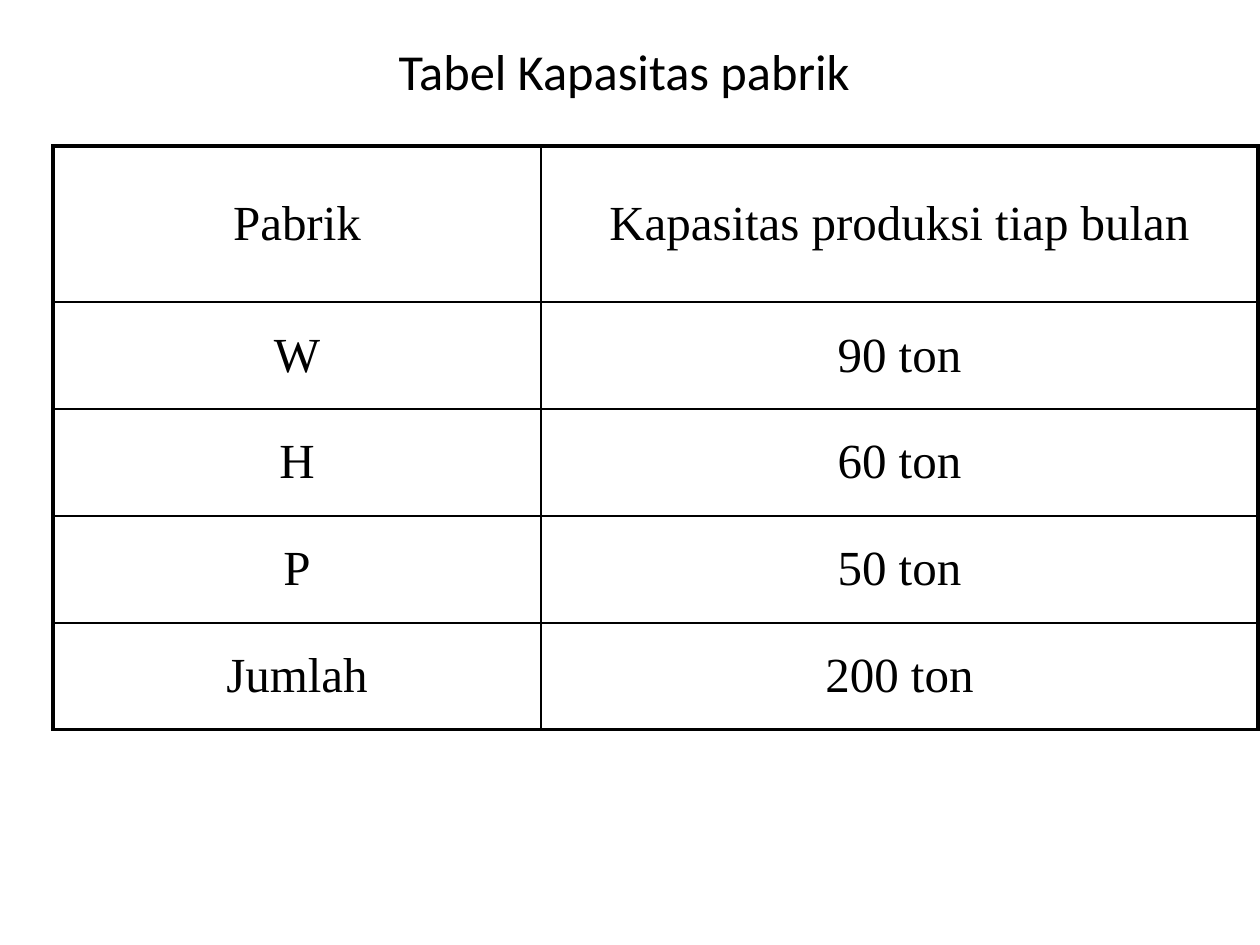
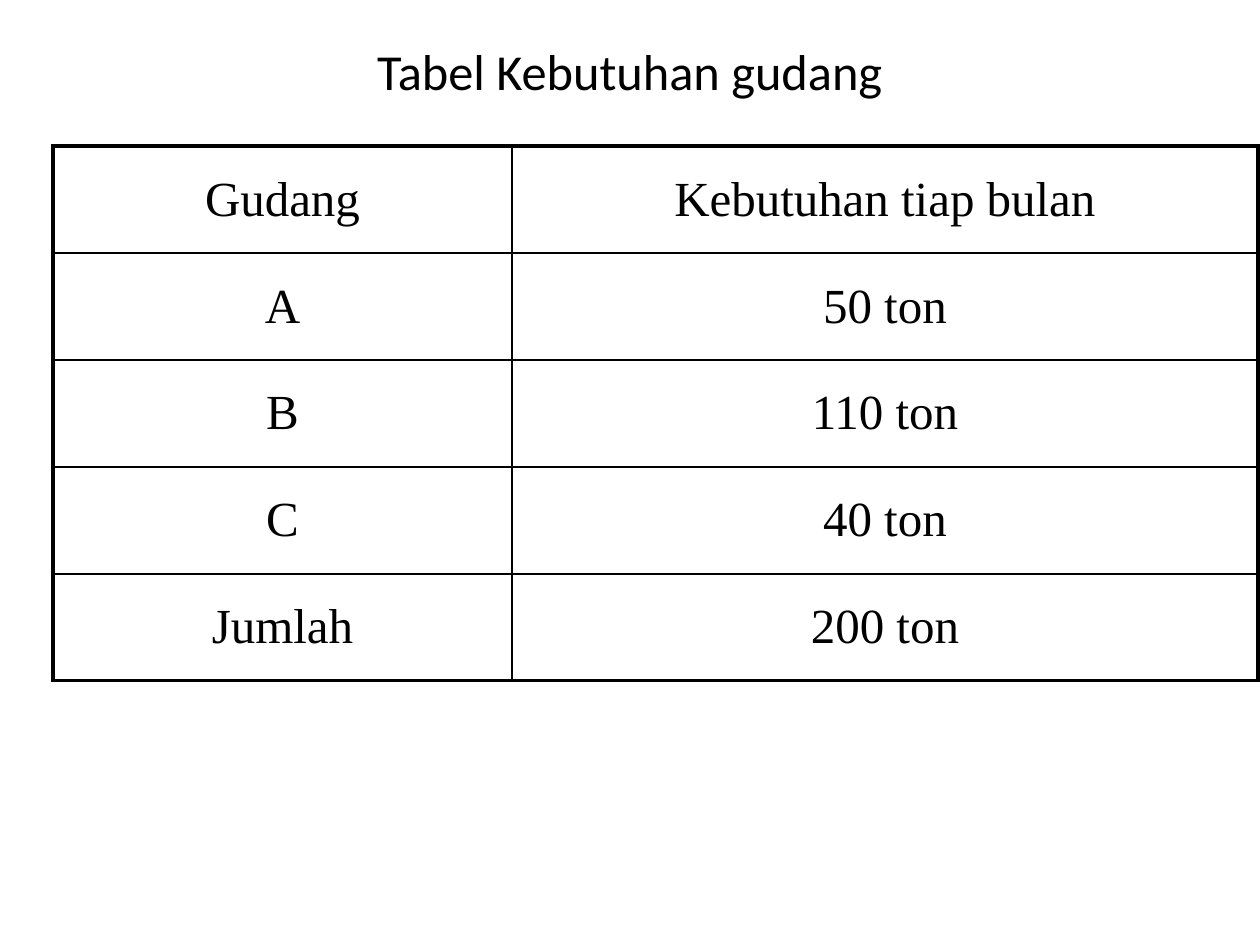
from lxml import etree
from pptx import Presentation
from pptx.dml.color import RGBColor
from pptx.enum.text import MSO_ANCHOR, PP_ALIGN
from pptx.oxml.ns import qn
from pptx.util import Emu, Pt

PX_PER_INCH = 126
COLORS = {"ink": "000000", "paper": "FFFFFF"}
SLIDE_SIZE = (1260, 945)
TITLE_BOX = (0, 48, 1260, 45)
TABLE_LEFT, TABLE_TOP, TABLE_WIDTH = 53, 146, 1205
ROW_HEIGHT = 107
OUTER_LINE, INNER_LINE = 2.25, 1


def px(length):
    return Emu(round(length * 914400 / PX_PER_INCH))


def rgb(name):
    return RGBColor.from_string(COLORS[name])


def style(paragraph, font_name, size):
    paragraph.alignment = PP_ALIGN.CENTER
    paragraph.font.name = font_name
    paragraph.font.size = Pt(size)
    paragraph.font.bold = False
    paragraph.font.color.rgb = rgb("ink")


def add_title(slide, box, wording):
    frame = slide.shapes.add_textbox(*map(px, box)).text_frame
    frame.word_wrap = True
    frame.vertical_anchor = MSO_ANCHOR.MIDDLE
    frame.text = wording
    style(frame.paragraphs[0], "Calibri", 28.8)


def add_border(cell, side, points):
    line = etree.SubElement(cell._tc.get_or_add_tcPr(), qn(f"a:ln{side}"), w=str(Pt(points)))
    fill = etree.SubElement(line, qn("a:solidFill"))
    etree.SubElement(fill, qn("a:srgbClr"), val=COLORS["ink"])


def add_quantity_table(slide, box, first_column, header_height, rows):
    left, top, width = box
    heights = [header_height] + [ROW_HEIGHT] * (len(rows) - 1)
    widths = [first_column, width - first_column]
    frame = slide.shapes.add_table(
        len(rows), len(widths), px(left), px(top), px(width), px(sum(heights))
    )
    table = frame.table
    table.first_row = table.horz_banding = False
    for column, column_width in zip(table.columns, widths):
        column.width = px(column_width)
    for r, (row, height, entries) in enumerate(zip(table.rows, heights, rows)):
        row.height = px(height)
        for c, (cell, entry) in enumerate(zip(row.cells, entries)):
            cell.text = entry
            cell.vertical_anchor = MSO_ANCHOR.MIDDLE
            style(cell.text_frame.paragraphs[0], "Times New Roman", 28)
            on_edge = {
                "L": c == 0,
                "R": c == len(widths) - 1,
                "T": r == 0,
                "B": r == len(rows) - 1,
            }
            for side, outer in on_edge.items():
                add_border(cell, side, OUTER_LINE if outer else INNER_LINE)
            cell.fill.background()


def add_table_slide(deck, title, first_column, header_height, rows):
    slide = deck.slides.add_slide(deck.slide_layouts[6])
    slide.background.fill.solid()
    slide.background.fill.fore_color.rgb = rgb("paper")
    add_title(slide, TITLE_BOX, title)
    table_box = (TABLE_LEFT, TABLE_TOP, TABLE_WIDTH)
    add_quantity_table(slide, table_box, first_column, header_height, rows)


def main():
    deck = Presentation()
    deck.slide_width, deck.slide_height = map(px, SLIDE_SIZE)
    add_table_slide(deck, "Tabel Kapasitas pabrik ", 488, 156, [
        ("Pabrik", "Kapasitas produksi tiap bulan"),
        ("W", "90 ton"),
        ("H", "60 ton"),
        ("P", "50 ton"),
        ("Jumlah", "200 ton"),
    ])
    add_table_slide(deck, "Tabel Kebutuhan gudang", 459, ROW_HEIGHT, [
        ("Gudang", "Kebutuhan tiap bulan"),
        ("A", "50 ton"),
        ("B", "110 ton"),
        ("C", "40 ton"),
        ("Jumlah", "200 ton"),
    ])
    deck.save("out.pptx")


if __name__ == "__main__":
    main()
